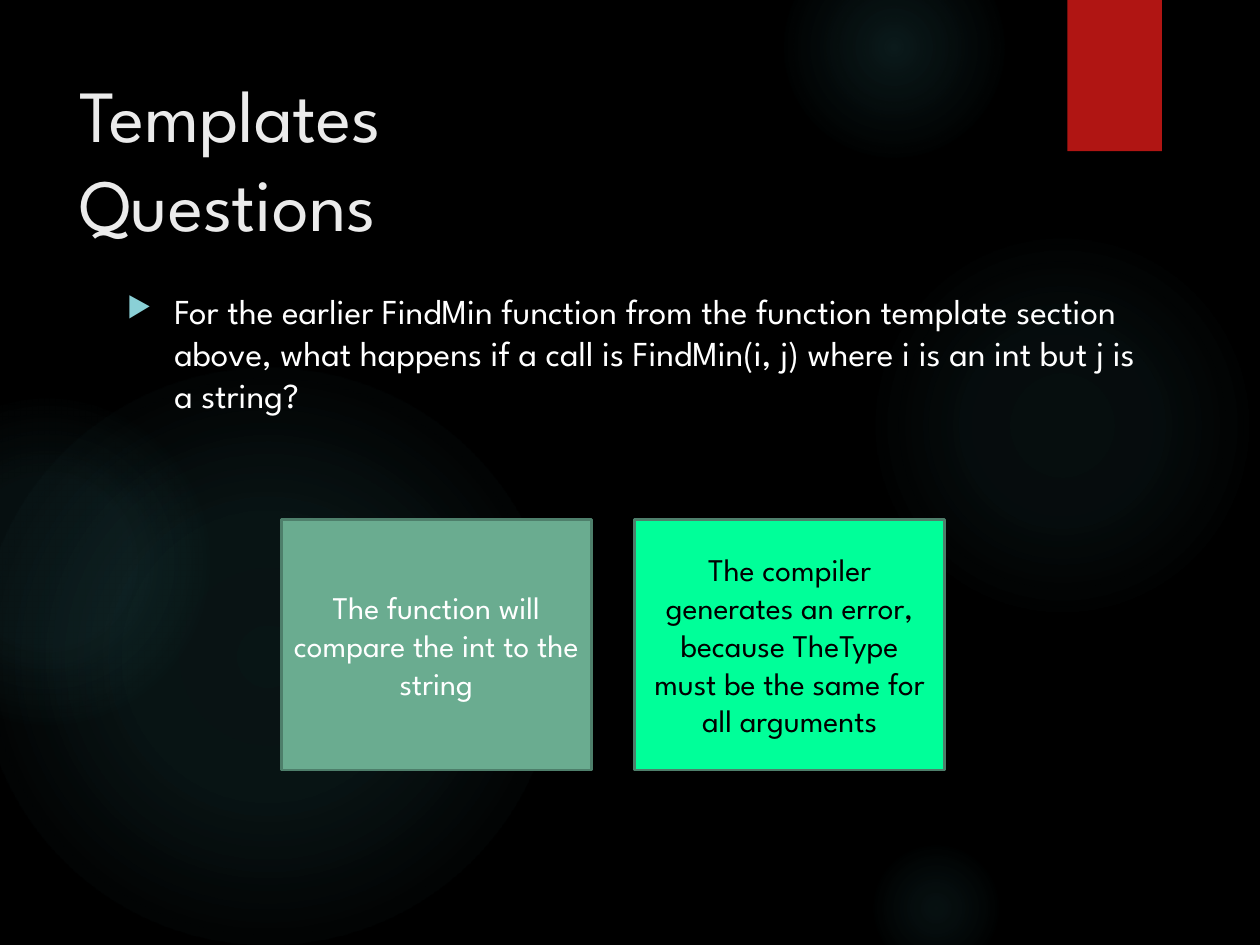
from lxml.etree import SubElement
from pptx import Presentation
from pptx.dml.color import RGBColor
from pptx.enum.shapes import MSO_SHAPE as Preset
from pptx.enum.text import MSO_ANCHOR as Anchor, MSO_AUTO_SIZE as AutoSize, PP_ALIGN as Align
from pptx.oxml import parse_xml
from pptx.oxml.ns import nsdecls, qn
from pptx.util import Pt

FONT = "League Spartan"
GLOW_COLOUR = "50B9C1"
GLOWS = [
    ((496, 132, 222), ((0, 7), (36, 6), (69, 0))),
    ((448, -36, 126), ((0, 14), (36, 7), (73, 0))),
    ((496, 480, 78), ((0, 9), (36, 5), (66, 0))),
    ((-12, 210, 330), ((0, 11), (36, 10), (75, 0))),
    ((-66, 228, 186), ((0, 8), (36, 8), (72, 0))),
]
TITLE_LINES = ("Templates", "Questions")
QUESTION = (
    "For the earlier FindMin function from the function template section above, "
    "what happens if a call is FindMin(i, j) where i is an int but j is a string?"
)
ANSWERS = [
    ("The function will compare the int to the string", "6AAC90", "FFFFFF"),
    ("The compiler generates an error, because TheType must be the same for all arguments",
     "00FF99", "000000"),
]


def colour(value):
    """Return the colour for a hex string."""
    return RGBColor.from_string(value)


def set_values(target, values):
    """Set each attribute named in a dict of values."""
    for name, value in values.items():
        setattr(target, name, value)


def add_text(paragraph, text, size, hex_colour):
    """Add a formatted run to a paragraph."""
    run = paragraph.add_run()
    run.text = text
    set_values(run.font, {"name": FONT, "size": Pt(size)})
    run.font.color.rgb = colour(hex_colour)


def add_block(slide, preset, box, fill=None):
    """Add a flat preset shape without an outline."""
    shape = slide.shapes.add_shape(preset, *map(Pt, box))
    shape.shadow.inherit = False
    shape.line.fill.background()
    if fill:
        shape.fill.solid()
        shape.fill.fore_color.rgb = colour(fill)
    return shape


def add_glow(slide, left, top, size, stops):
    """Add a circle whose colour fades out from its centre."""
    shape = add_block(slide, Preset.OVAL, (left, top, size, size))
    stop_xml = "".join(
        f'<a:gs pos="{position * 1000}"><a:srgbClr val="{GLOW_COLOUR}">'
        f'<a:alpha val="{alpha * 1000}"/></a:srgbClr></a:gs>'
        for position, alpha in stops
    )
    gradient = parse_xml(
        f'<a:gradFill {nsdecls("a")}><a:gsLst>{stop_xml}</a:gsLst><a:path path="circle">'
        '<a:fillToRect l="50000" t="50000" r="50000" b="50000"/></a:path></a:gradFill>'
    )
    shape.element.spPr.find(qn("a:prstGeom")).addnext(gradient)


def add_backdrop(slide):
    """Draw the black background, the glows and the red tab."""
    slide.background.fill.solid()
    slide.background.fill.fore_color.rgb = colour("000000")
    for circle, stops in GLOWS:
        add_glow(slide, *circle, stops)
    add_block(slide, Preset.RECTANGLE, (610, 0, 54, 86.4), "B01513")


def place_title(slide, left, top, width, height):
    """Place and format the two-line title in front of the backdrop."""
    title = slide.shapes.title
    slide.shapes.element.append(title.element)
    set_values(title, {"left": Pt(left), "top": Pt(top), "width": Pt(width), "height": Pt(height)})
    set_values(title.text_frame, {
        "vertical_anchor": Anchor.TOP, "word_wrap": True, "auto_size": AutoSize.NONE})
    paragraph = title.text_frame.paragraphs[0]
    paragraph.alignment = Align.LEFT
    for index, line in enumerate(TITLE_LINES):
        if index:
            paragraph.add_line_break()
        add_text(paragraph, line, 42, "EBEBEB")


def add_question(slide, left, top, width, height):
    """Add the question as a bulleted paragraph."""
    frame = slide.shapes.add_textbox(Pt(left), Pt(top), Pt(width), Pt(height)).text_frame
    frame.word_wrap = True
    paragraph = frame.paragraphs[0]
    paragraph.space_before = Pt(10)
    properties = paragraph._p.get_or_add_pPr()
    properties.set("marL", str(Pt(27)))
    properties.set("indent", str(Pt(-27)))
    SubElement(SubElement(properties, qn("a:buClr")), qn("a:srgbClr"), val="8AD0D6")
    SubElement(properties, qn("a:buSzPct"), val="80000")
    SubElement(properties, qn("a:buChar"), char="▶")
    add_text(paragraph, QUESTION, 20, "FFFFFF")


def add_answers(slide, left, top, width, height, gap):
    """Add the answer cards as a row of equal boxes."""
    card_width = (width - gap * (len(ANSWERS) - 1)) / len(ANSWERS)
    for index, (text, fill, text_colour) in enumerate(ANSWERS):
        box = (left + index * (card_width + gap), top, card_width, height)
        card = add_block(slide, Preset.RECTANGLE, box, fill)
        card.line.color.rgb = colour("4E7F6B")
        card.line.width = Pt(1.5)
        set_values(card.text_frame, {"word_wrap": True, "vertical_anchor": Anchor.MIDDLE})
        paragraph = card.text_frame.paragraphs[0]
        paragraph.alignment = Align.CENTER
        add_text(paragraph, text, 18, text_colour)


def main():
    """Build and save the slide."""
    presentation = Presentation()
    set_values(presentation, {"slide_width": Pt(720), "slide_height": Pt(540)})
    slide = presentation.slides.add_slide(presentation.slide_layouts[5])
    add_backdrop(slide)
    place_title(slide, 38, 36, 556, 110)
    add_question(slide, 65.5, 162, 595, 330)
    add_answers(slide, 160.8, 296.8, 379, 143.2, gap=24.8)
    presentation.save("out.pptx")


if __name__ == "__main__":
    main()
